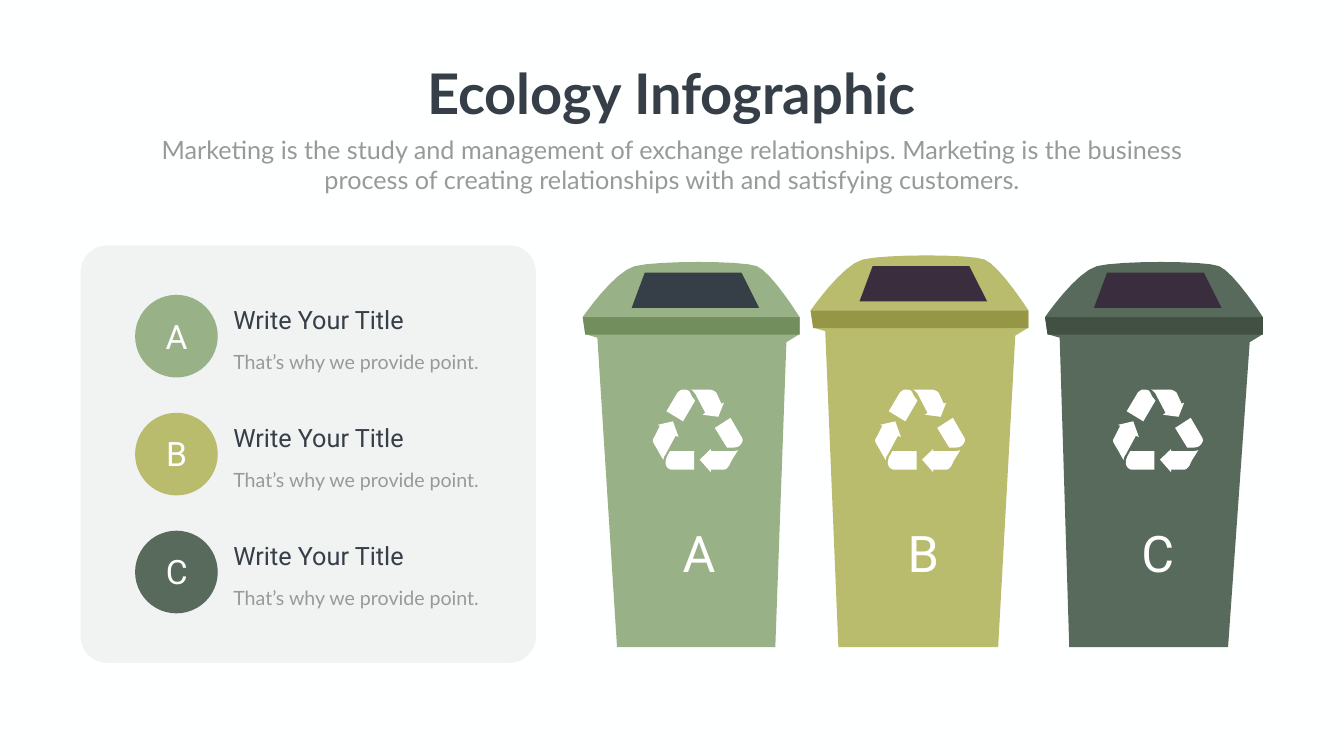
from pptx import Presentation
from pptx.dml.color import RGBColor
from pptx.enum.shapes import MSO_SHAPE
from pptx.enum.text import MSO_AUTO_SIZE, PP_ALIGN
from pptx.oxml.ns import qn
from pptx.util import Inches, Pt
from lxml import etree

COLORS = {
    "paper": "FEFFFF", "panel": "808080", "white": "FFFFFF",
    "ink": "363E48", "grey": "999999", "plum": "3A2E3E",
    "sage": "99B187", "sage_rim": "718E5C",
    "olive": "B9BB6D", "olive_rim": "959747",
    "forest": "586A5B", "forest_rim": "425044",
}

# Outlines: a pair is a corner, six numbers are a cubic curve.
RECYCLE_ARROWS = [
    [(1.79, 1.02), (1.79, 1.0, 1.79, 0.96, 1.77, 0.94), (1.55, 0.56),
     (1.24, 0.76), (1.48, 1.15), (1.59, 1.15),
     (1.68, 1.15, 1.75, 1.13, 1.79, 1.02)],
    [(1.7, 1.2), (1.66, 1.22, 1.61, 1.22, 1.59, 1.22), (1.16, 1.22),
     (1.16, 1.18), (0.94, 1.39), (1.16, 1.64), (1.16, 1.59), (1.4, 1.59),
     (1.46, 1.59, 1.48, 1.57, 1.53, 1.5),
     (1.57, 1.39, 1.64, 1.31, 1.7, 1.2)],
    [(0.3, 1.55), (0.35, 1.59, 0.37, 1.59, 0.41, 1.59), (0.83, 1.59),
     (0.83, 1.22), (0.35, 1.22), (0.3, 1.31),
     (0.26, 1.39, 0.24, 1.48, 0.3, 1.55)],
    [(0.52, 0.94), (0.41, 0.63), (0.11, 0.7), (0.15, 0.72), (0.04, 0.94),
     (0, 1.0, 0, 1.02, 0.04, 1.09), (0.11, 1.2, 0.15, 1.29, 0.22, 1.4),
     (0.22, 1.35, 0.24, 1.31, 0.26, 1.29), (0.46, 0.92)],
    [(0.59, 0), (0.54, 0.02, 0.52, 0.04, 0.5, 0.06), (0.28, 0.43),
     (0.61, 0.63), (0.85, 0.22), (0.78, 0.13),
     (0.76, 0.08, 0.74, 0.04, 0.72, 0.02), (0.68, 0, 0.63, 0, 0.59, 0)],
    [(1.0, 0.5), (1.31, 0.54), (1.42, 0.26), (1.37, 0.28), (1.27, 0.06),
     (1.22, 0.02, 1.18, 0, 1.11, 0), (1.0, 0, 0.89, 0, 0.76, 0),
     (0.81, 0.02, 0.83, 0.06, 0.85, 0.08), (1.05, 0.46)],
]


def flatten(path, steps=8):
    """Turn an outline of corners and curves into plain points."""
    points = [path[0]]
    for part in path[1:]:
        if len(part) == 2:
            points.append(part)
            continue
        start = points[-1]
        for i in range(1, steps + 1):
            t = i / steps
            u = 1 - t
            points.append(tuple(
                u**3 * start[k] + 3 * u * u * t * part[k]
                + 3 * u * t * t * part[k + 2] + t**3 * part[k + 4]
                for k in (0, 1)))
    return points


class Canvas:
    """Holds the slide, its style and the layer being drawn on."""

    def __init__(self, slide):
        """Start on the slide and paint its background."""
        self.slide = slide
        self.layer = slide.shapes
        fill = slide.background.fill
        fill.solid()
        fill.fore_color.rgb = self.color("paper")

    def color(self, name):
        """Look up a named colour."""
        return RGBColor.from_string(COLORS[name])

    def group(self):
        """Draw what follows in a new group."""
        self.layer = self.slide.shapes.add_group_shape().shapes

    def ungroup(self):
        """Draw what follows straight on the slide."""
        self.layer = self.slide.shapes

    def paint(self, shape, color):
        """Give a shape a flat fill without line or shadow."""
        shape.shadow.inherit = False
        shape.fill.solid()
        shape.fill.fore_color.rgb = self.color(color)
        shape.line.fill.background()
        return shape

    def shape(self, kind, x, y, w, h, color):
        """Add a preset shape."""
        box = map(Inches, (x, y, w, h))
        return self.paint(self.layer.add_shape(kind, *box), color)

    def outline(self, path, x, y, color):
        """Add a closed outline whose own origin lies at x, y."""
        points = [(Inches(x + px), Inches(y + py)) for px, py in flatten(path)]
        builder = self.layer.build_freeform(*points[0], scale=1.0)
        builder.add_line_segments(points[1:], close=True)
        self.paint(builder.convert_to_shape(), color)

    def text(self, words, x, y, w, h, size, color, font="Roboto",
             align=PP_ALIGN.LEFT, bold=False, leading=None, wrap=True):
        """Add a one-paragraph text box."""
        frame = self.layer.add_textbox(*map(Inches, (x, y, w, h))).text_frame
        frame.word_wrap = wrap
        frame.auto_size = MSO_AUTO_SIZE.SHAPE_TO_FIT_TEXT
        paragraph = frame.paragraphs[0]
        paragraph.alignment = align
        if leading:
            paragraph.line_spacing = Pt(leading)
        run = paragraph.add_run()
        run.text = words
        run.font.name = font
        run.font.size = Pt(size)
        run.font.bold = bold
        run.font.color.rgb = self.color(color)


def draw_panel(canvas):
    """Draw the translucent panel behind the legend."""
    panel = canvas.shape(MSO_SHAPE.ROUNDED_RECTANGLE,
                         1.6, 4.87, 9.03, 8.28, "panel")
    panel.adjustments[0] = 0.063
    tint = panel.fill._xPr.find(qn("a:solidFill"))[0]
    etree.SubElement(tint, qn("a:alpha")).set("val", "10000")


def draw_bin(canvas, letter, color, window, x, y, width, foot, mark_x, letter_x):
    """Draw one bin; foot holds the bottom corners measured from x."""
    floor, rim = 12.84 - y, 1.12
    right = width - 0.26
    canvas.group()
    canvas.outline([(foot[0], floor), (0.29, 1.53), (0.05, 1.46), (0, rim),
                    (width, rim), (width, 1.46), (right, 1.62),
                    (foot[1], floor)], x, y, color)
    canvas.outline([(width, 1.47), (0.05, 1.47), (0, rim), (width, rim)],
                   x, y, color + "_rim")
    canvas.outline([(0, rim), (0, rim, 0.62, 0.22, 1.03, 0.11),
                    (1.47, 0, 3.17, 0, 3.45, 0.11),
                    (3.74, 0.22, width, rim, width, rim)], x, y, color)
    canvas.outline([(0.97, 0.94), (3.5, 0.94), (3.15, 0.24), (1.23, 0.24)],
                   x, y, window)
    for arrow in RECYCLE_ARROWS:
        canvas.outline(arrow, mark_x, 7.73, "white")
    canvas.text(letter, letter_x, 10.3, 0.99, 1.31, 72, "white",
                align=PP_ALIGN.CENTER)
    canvas.ungroup()


def draw_legend(canvas):
    """Draw the three lettered legend rows."""
    canvas.group()
    for row, (letter, color) in enumerate(
            [("A", "sage"), ("B", "olive"), ("C", "forest")]):
        y = 5.85 + 2.34 * row
        canvas.shape(MSO_SHAPE.OVAL, 2.68, y, 1.64, 1.64, color)
        canvas.text(letter, 3.01, y + 0.36, 0.99, 0.91, 48, "white",
                    align=PP_ALIGN.CENTER)
        canvas.text("That\u2019s why we provide point.", 4.53, y + 0.92,
                    5.35, 0.64, 28, "grey", "Lato", leading=43)
        canvas.text("Write Your Title", 4.53, y + 0.14, 4.41, 0.71, 36, "ink")
    canvas.ungroup()


def draw_heading(canvas):
    """Write the title and the introduction."""
    canvas.group()
    canvas.text("Ecology Infographic", 8.27, 1.12, 10.11, 1.45, 80, "ink",
                "Lato", PP_ALIGN.CENTER, bold=True, wrap=False)
    canvas.text("Marketing is the study and management of exchange "
                "relationships. Marketing is the business process of creating "
                "relationships with and satisfying customers.",
                2.92, 2.61, 20.82, 1.31, 36, "grey", "Lato", PP_ALIGN.CENTER)
    canvas.ungroup()


def main():
    """Build and save the slide."""
    deck = Presentation()
    deck.slide_width, deck.slide_height = Inches(26.66), Inches(15)
    canvas = Canvas(deck.slides.add_slide(deck.slide_layouts[6]))
    draw_panel(canvas)
    draw_bin(canvas, "B", "olive", "plum", 16.08, 5.04, 4.32,
             (0.55, 3.72), 17.35, 17.82)
    draw_bin(canvas, "C", "forest", "plum", 20.73, 5.17, 4.32,
             (0.48, 3.63), 22.07, 22.47)
    draw_bin(canvas, "A", "sage", "ink", 11.56, 5.17, 4.3,
             (0.68, 3.82), 12.94, 13.37)
    draw_legend(canvas)
    draw_heading(canvas)
    deck.save("out.pptx")


main()
